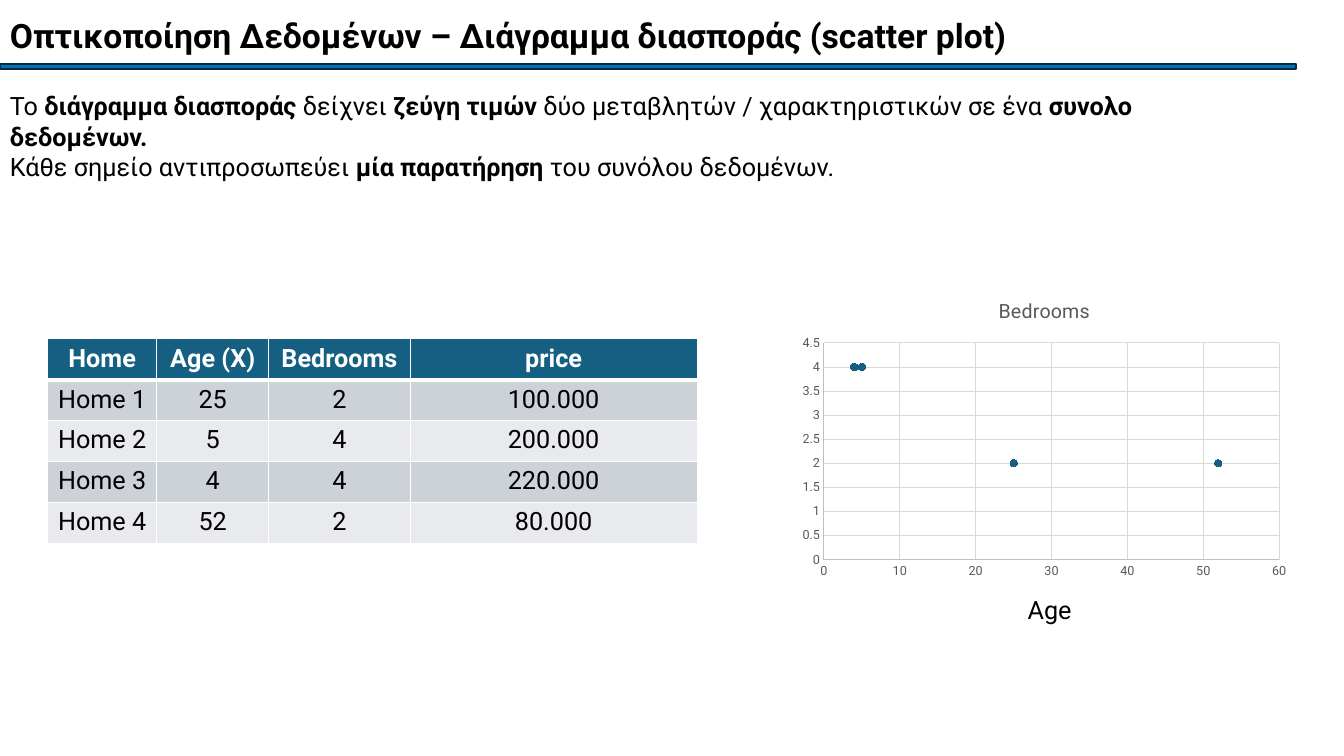
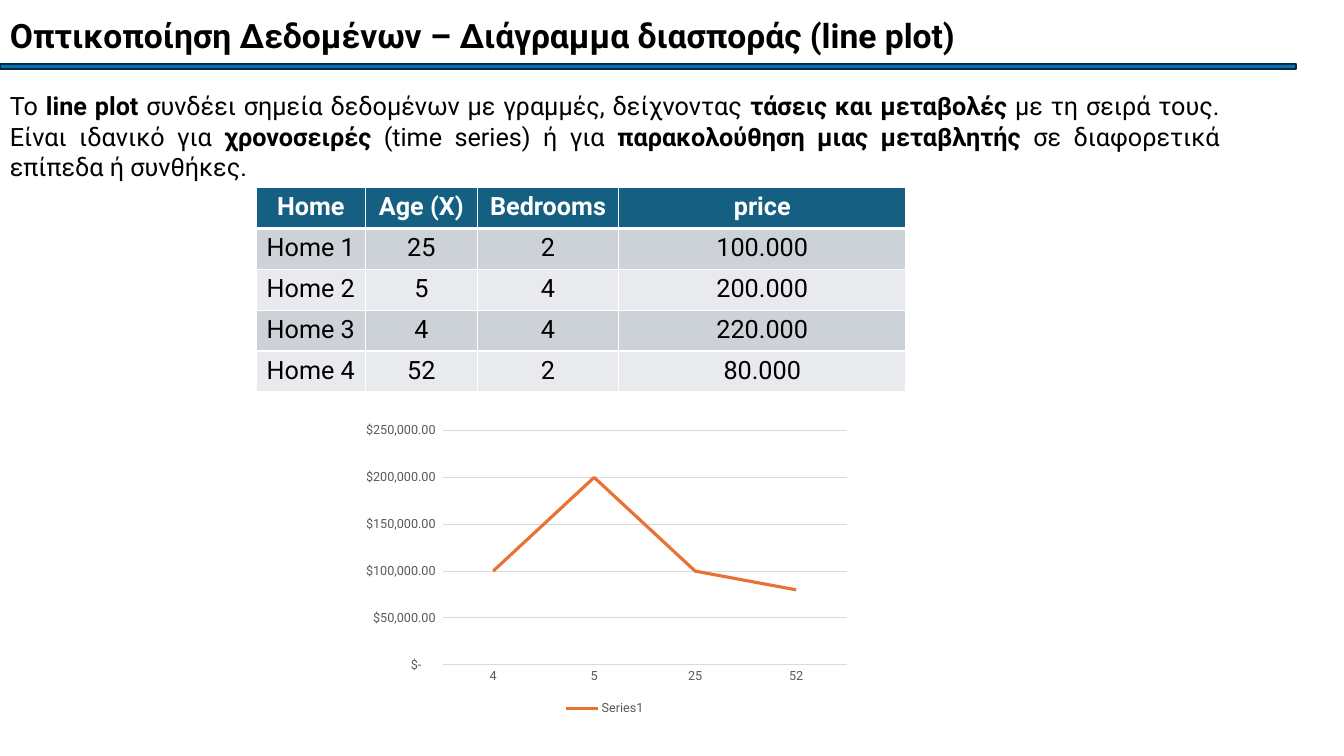
from lxml.etree import SubElement as Sub
from pptx import Presentation
from pptx.chart.data import CategoryChartData as CatData, XyChartData as XyData
from pptx.dml.color import RGBColor as Rgb
from pptx.enum.chart import XL_CHART_TYPE as Kind, XL_LEGEND_POSITION as Spot
from pptx.enum.chart import XL_MARKER_STYLE as Mark, XL_TICK_MARK as Tick
from pptx.enum.shapes import MSO_SHAPE as Form
from pptx.enum.text import MSO_AUTO_SIZE as Auto, PP_ALIGN as Align
from pptx.oxml.ns import qn
from pptx.util import Pt

FONT = "Roboto"
HUES = {
    "ink": "000000", "white": "FFFFFF", "band": "0070C0", "edge": "092A39",
    "teal": "156082", "dark": "CCD2D8", "light": "E8EAED", "orange": "E97132",
    "label": "595959", "axis": "BFBFBF", "grid": "D9D9D9",
}
HOMES = [
    ["Home", "Age (Χ)", "Bedrooms", "price"],
    ["Home 1", "25", "2", "100.000"],
    ["Home 2", "5", "4", "200.000"],
    ["Home 3", "4", "4", "220.000"],
    ["Home 4", "52", "2", "80.000"],
]
COLS = [78, 80, 101, 205]
ROW = 29.2
MONEY = r'_("$"* #,##0.00_);_("$"* \(#,##0.00\);_("$"* "-"??_);_(@_)'


def hue(name):
    """Return a named colour."""
    return Rgb.from_string(HUES[name])


def style(font, size, color="ink", bold=False):
    """Format a font."""
    font.name, font.size, font.bold = FONT, Pt(size), bold
    font.color.rgb = hue(color)


def write(frame, text, size=18, color="ink", bold=False, align=Align.LEFT):
    """Fill a frame with text, where asterisks switch bold and newlines break."""
    para = frame.paragraphs[0]
    para.alignment = align
    for i, part in enumerate(text.split("*")):
        for j, line in enumerate(part.split("\n")):
            if j:
                para.add_line_break()
            if line:
                run = para.add_run()
                run.text = line
                style(run.font, size, color, bold or i % 2 == 1)


def label(slide, box, text, **form):
    """Place a wrapped text box."""
    frame = slide.shapes.add_textbox(*map(Pt, box)).text_frame
    frame.word_wrap = True
    frame.auto_size = Auto.SHAPE_TO_FIT_TEXT
    write(frame, text, **form)


def head(slide, box, title):
    """Place the title above its blue band."""
    x, y, w, h = box
    band = slide.shapes.add_shape(Form.RECTANGLE, Pt(x), Pt(y + h - 3.6), Pt(w), Pt(3.6))
    band.shadow.inherit = False
    band.fill.solid()
    band.fill.fore_color.rgb = hue("band")
    band.line.color.rgb = hue("edge")
    band.line.width = Pt(1.5)
    label(slide, (x, y, 736, 36), title, size=24, bold=True)


def edge(cell, side, width):
    """Draw one white cell border."""
    line = Sub(cell._tc.get_or_add_tcPr(), qn(f"a:ln{side}"), w=str(Pt(width)))
    Sub(Sub(line, qn("a:solidFill")), qn("a:srgbClr"), val=HUES["white"])


def homes(slide, x, y):
    """Place the table of homes."""
    size = map(Pt, (x, y, sum(COLS), ROW * len(HOMES)))
    table = slide.shapes.add_table(len(HOMES), len(COLS), *size).table
    for col, width in zip(table.columns, COLS):
        col.width = Pt(width)
    for r, row in enumerate(HOMES):
        table.rows[r].height = Pt(ROW)
        fill = "teal" if r == 0 else ("light", "dark")[r % 2]
        for c, text in enumerate(row):
            cell = table.cell(r, c)
            for side in "LRTB":
                edge(cell, side, 3 if (r, side) in ((0, "B"), (1, "T")) else 1)
            cell.fill.solid()
            cell.fill.fore_color.rgb = hue(fill)
            write(cell.text_frame, text, color="ink" if r else "white",
                  bold=r == 0, align=Align.CENTER)


def stroke(line, color, width=0.75):
    """Format a line."""
    line.color.rgb = hue(color)
    line.width = Pt(width)


def rule(axis, color, grid):
    """Format an axis, its labels and its grid."""
    axis.major_tick_mark = axis.minor_tick_mark = Tick.NONE
    style(axis.tick_labels.font, 9, "label")
    axis.has_major_gridlines = grid
    if grid:
        stroke(axis.major_gridlines.format.line, "grid")
    if color:
        stroke(axis.format.line, color)
    else:
        axis.format.line.fill.background()


def scale(axis, top, step):
    """Set an axis from zero to its top."""
    axis.minimum_scale, axis.maximum_scale, axis.major_unit = 0, top, step


def plot(slide, box, kind, data):
    """Place a chart and return it with its only series."""
    chart = slide.shapes.add_chart(kind, *map(Pt, box), data).chart
    style(chart.font, 10)
    chart.has_title = chart.has_legend = False
    chart.plots[0].vary_by_categories = False
    line = chart.plots[0].series[0]
    line.smooth = False
    return chart, line


def dots(slide, box):
    """Place the scatter chart with its caption."""
    x, y, w, h = box
    data = XyData()
    pairs = data.add_series("Bedrooms")
    for age, beds in ((25, 2), (5, 4), (4, 4), (52, 2)):
        pairs.add_data_point(age, beds)
    chart, line = plot(slide, box, Kind.XY_SCATTER, data)
    chart.has_title = True
    write(chart.chart_title.text_frame, "Bedrooms", size=14, color="label")
    chart.chart_title.include_in_layout = False
    for axis, top, step in ((chart.category_axis, 60, 10), (chart.value_axis, 4.5, 0.5)):
        rule(axis, "axis", True)
        scale(axis, top, step)
    line.format.line.fill.background()
    line.marker.style, line.marker.size = Mark.CIRCLE, 5
    line.marker.format.fill.solid()
    line.marker.format.fill.fore_color.rgb = hue("teal")
    stroke(line.marker.format.line, "teal")
    label(slide, (x + 161, y + h + 3.6, 56, 29), "Age")


def trend(slide, box):
    """Place the line chart of prices by age."""
    data = CatData()
    data.categories = ["4", "5", "25", "52"]
    data.add_series("Series1", (100000, 200000, 100000, 80000))
    chart, line = plot(slide, box, Kind.LINE, data)
    rule(chart.category_axis, "grid", False)
    rule(chart.value_axis, None, True)
    scale(chart.value_axis, 250000, 50000)
    ticks = chart.value_axis.tick_labels
    ticks.number_format, ticks.number_format_is_linked = MONEY, False
    stroke(line.format.line, "orange", 2.25)
    line.marker.style = Mark.NONE
    chart.has_legend = True
    chart.legend.position = Spot.BOTTOM
    chart.legend.include_in_layout = False
    style(chart.legend.font, 9, "label")


def page(deck, name, text, align=Align.LEFT):
    """Add a slide with its title and introduction."""
    slide = deck.slides.add_slide(deck.slide_layouts[6])
    head(slide, (0, 7.2, 926, 41.8), f"Οπτικοποίηση Δεδομένων – Διάγραμμα διασποράς ({name})")
    label(slide, (0, 61.2, 878.4, 73), text, align=align)
    return slide


def main():
    """Build and save the deck."""
    deck = Presentation()
    deck.slide_width, deck.slide_height = Pt(960), Pt(540)
    slide = page(
        deck, "scatter plot",
        "Το *διάγραμμα διασποράς* δείχνει *ζεύγη τιμών* δύο μεταβλητών / "
        "χαρακτηριστικών σε ένα *συνολο δεδομένων.\n*Κάθε σημείο αντιπροσωπεύει "
        "*μία παρατήρηση* του συνόλου δεδομένων.")
    homes(slide, 34, 242)
    dots(slide, (566, 201.6, 360, 216))
    slide = page(
        deck, "line plot",
        "Το *line plot* συνδέει σημεία δεδομένων με γραμμές, δείχνοντας "
        "*τάσεις και μεταβολές* με τη σειρά τους.\nΕίναι ιδανικό για *χρονοσειρές* "
        "(time series) ή για *παρακολούθηση μιας μεταβλητής* σε διαφορετικά "
        "επίπεδα ή συνθήκες.", Align.JUSTIFY)
    homes(slide, 183, 134)
    trend(slide, (252, 298, 360, 216))
    deck.save("out.pptx")


if __name__ == "__main__":
    main()
